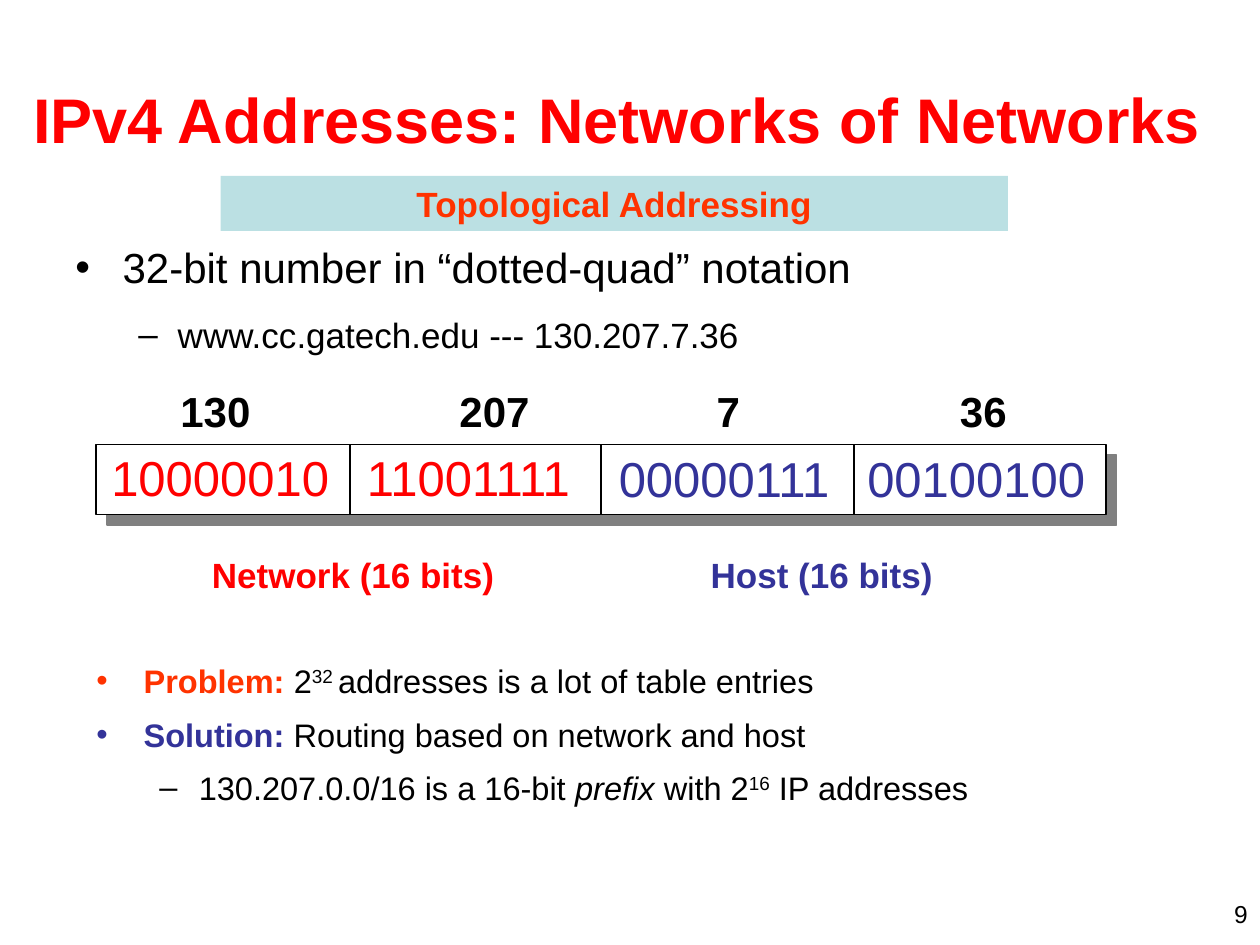
from lxml import etree
from pptx import Presentation
from pptx.dml.color import RGBColor
from pptx.enum import shapes, text
from pptx.oxml import ns
from pptx.util import Pt

FONT = "Arial"
COLORS = {
    "black": "000000", "white": "FFFFFF", "grey": "808080", "red": "FF0000",
    "orange": "FF3300", "blue": "333399", "teal": "BBE0E3",
}

# octet, its bits, colour, left of octet, left of bits, top of bits
OCTETS = [
    ("130", "10000010", "red", 96, 56.5, 252),
    ("207", "11001111", "red", 255.5, 202.5, 252),
    ("7", "00000111", "blue", 402.5, 346.5, 253),
    ("36", "00100100", "blue", 541.5, 488.5, 253),
]


def rgb(name):
    return RGBColor.from_string(COLORS[name])


def add_xml(parent, tag, **attrs):
    return etree.SubElement(parent, ns.qn(tag), attrs)


def add_run(p, words, size, color="black", bold=False, italic=False, raised=False):
    r = p.add_run()
    r.text = words
    f = r.font
    f.name, f.size, f.bold, f.italic = FONT, Pt(size), bold, italic
    f.color.rgb = rgb(color)
    if raised:
        r._r.get_or_add_rPr().set("baseline", "30000")


def add_box(s, left, top, width, height):
    """Add an empty text box and return its text frame."""
    tf = s.shapes.add_textbox(Pt(left), Pt(top), Pt(width), Pt(height)).text_frame
    tf.word_wrap = True
    return tf


def add_label(s, left, top, width, height, words, size, color="black", bold=True):
    tf = add_box(s, left, top, width, height)
    add_run(tf.paragraphs[0], words, size, color, bold)


def add_rect(s, left, top, width, height, fill):
    sp = s.shapes.add_shape(shapes.MSO_SHAPE.RECTANGLE,
                            Pt(left), Pt(top), Pt(width), Pt(height))
    sp.shadow.inherit = False
    sp.fill.solid()
    sp.fill.fore_color.rgb = rgb(fill)
    sp.line.fill.background()
    return sp


def add_divider(s, x, top, bottom):
    line = s.shapes.add_connector(shapes.MSO_CONNECTOR.STRAIGHT,
                                  Pt(x), Pt(top), Pt(x), Pt(bottom))
    line.line.color.rgb = rgb("black")
    line.line.width = Pt(1)
    add_xml(line._element.spPr, "a:effectLst")
    return line


def add_bullets(s, left, top, width, height, spacing, items):
    """Fill a box with bullets: (level, bullet colour, space before, runs)."""
    tf = add_box(s, left, top, width, height)
    for i, (level, color, before, runs) in enumerate(items):
        p = tf.add_paragraph() if i else tf.paragraphs[0]
        margin, indent, char = ((27, -27, "•"), (58.5, -22.5, "–"))[level]
        p.level = level
        pPr = p._p.get_or_add_pPr()
        pPr.set("marL", str(Pt(margin)))
        pPr.set("indent", str(Pt(indent)))
        add_xml(add_xml(pPr, "a:buClr"), "a:srgbClr", val=COLORS[color])
        add_xml(pPr, "a:buFont", typeface=FONT)
        add_xml(pPr, "a:buChar", char=char)
        p.line_spacing = spacing
        p.space_before = Pt(before)
        for words, size, style in runs:
            add_run(p, words, size, **style)


def add_address(s):
    """Draw the four octets, each as a decimal above its bits."""
    box = add_rect(s, 55, 254, 577, 40, "white")
    box.line.color.rgb = rgb("black")
    box.line.width = Pt(1)
    effects = box._element.spPr.find(ns.qn("a:effectLst"))
    shadow = add_xml(effects, "a:outerShdw", dist=str(Pt(8.5)),
                     dir="2700000", algn="ctr", rotWithShape="0")
    add_xml(shadow, "a:srgbClr", val=COLORS["grey"])

    for x in (200, 488):
        add_divider(s, x, 254, 294)
    middle = add_divider(s, 343.5, 254, 294)
    middle.begin_connect(box, 0)
    middle.end_connect(box, 2)

    for octet, bits, color, octet_left, bits_left, bits_top in OCTETS:
        add_label(s, octet_left, 216.5, 16 + 14 * len(octet), 36, octet, 24)
        add_label(s, bits_left, bits_top, 142, 41, bits, 28, color, bold=False)
    add_label(s, 114, 313, 183, 32, "Network (16 bits)", 20, "red")
    add_label(s, 399, 313, 148, 32, "Host (16 bits)", 20, "blue")


def main():
    prs = Presentation()
    prs.slide_width, prs.slide_height = Pt(720), Pt(540)
    s = prs.slides.add_slide(prs.slide_layouts[6])

    tf = add_box(s, 12, 22.5, 690, 90)
    tf.vertical_anchor = text.MSO_ANCHOR.MIDDLE
    add_run(tf.paragraphs[0], "IPv4 Addresses: Networks of Networks", 36, "red", True)

    add_bullets(s, 36, 126, 648, 90, 1.3, [
        (0, "black", 0, [("32-bit number in “dotted-quad” notation", 24, {})]),
        (1, "black", 5, [("www.cc.gatech.edu --- 130.207.7.36", 20, {})]),
    ])
    add_address(s)

    size = 18.6
    raised = {"raised": True}
    add_bullets(s, 48, 372, 672, 90, 1.1, [
        (0, "orange", 0, [
            ("Problem:", size, {"color": "orange", "bold": True}),
            (" 2", size, {}),
            ("32 ", size, raised),
            ("addresses is a lot of table entries", size, {}),
        ]),
        (0, "blue", 6, [
            ("Solution:", size, {"color": "blue", "bold": True}),
            (" Routing based on network and host", size, {}),
        ]),
        (1, "black", 6, [
            ("130.207.0.0/16 is a 16-bit ", size, {}),
            ("prefix", size, {"italic": True}),
            (" with 2", size, {}),
            ("16", size, raised),
            (" IP addresses", size, {}),
        ]),
    ])

    banner = add_rect(s, 126, 100.5, 450, 31.5, "teal")
    p = banner.text_frame.paragraphs[0]
    p.alignment = text.PP_ALIGN.CENTER
    add_run(p, "Topological Addressing", 20, "orange", True)

    p = add_box(s, 552, 510, 168, 18).paragraphs[0]
    p.alignment = text.PP_ALIGN.RIGHT
    add_run(p, "9", 14)

    prs.save("out.pptx")


if __name__ == "__main__":
    main()
